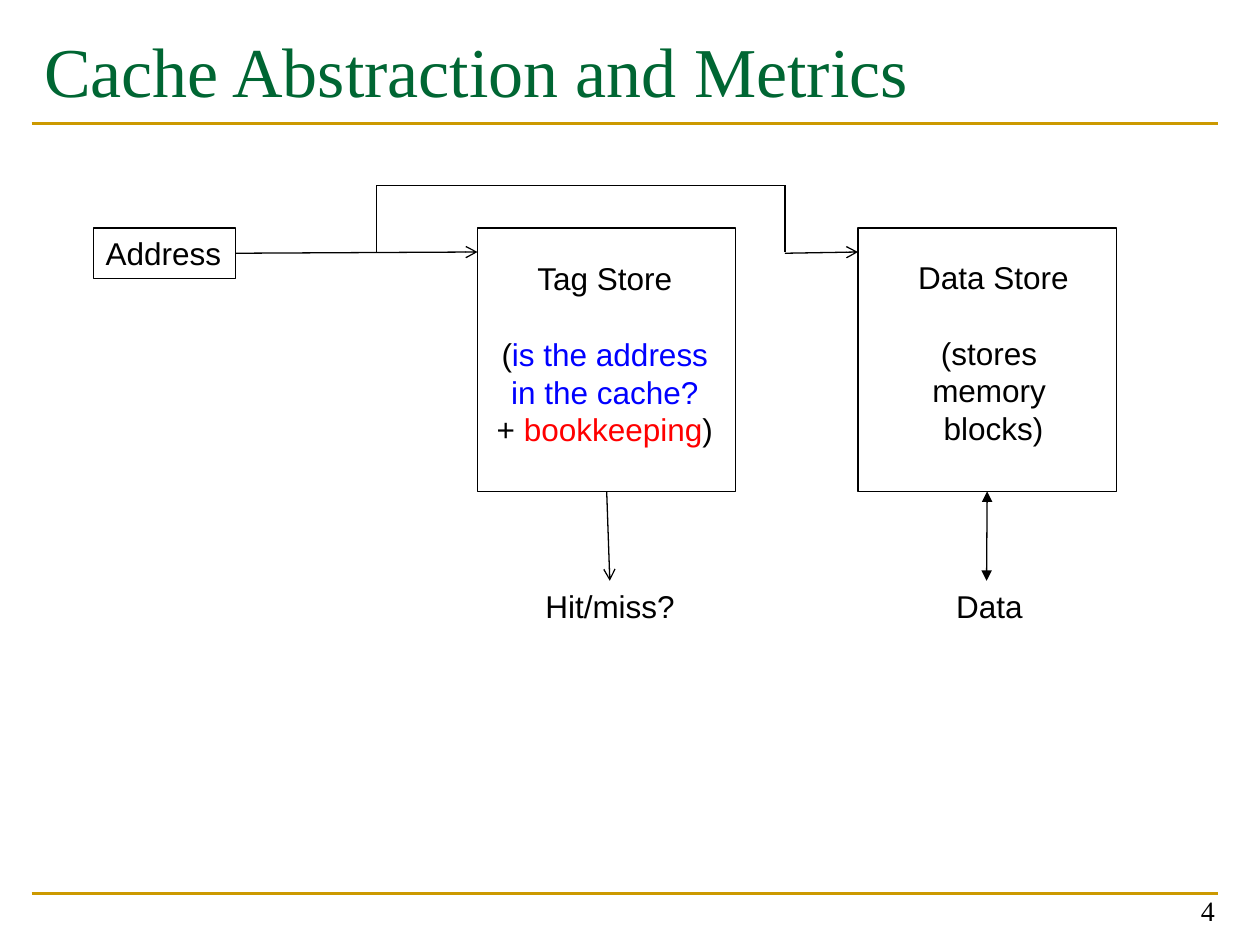
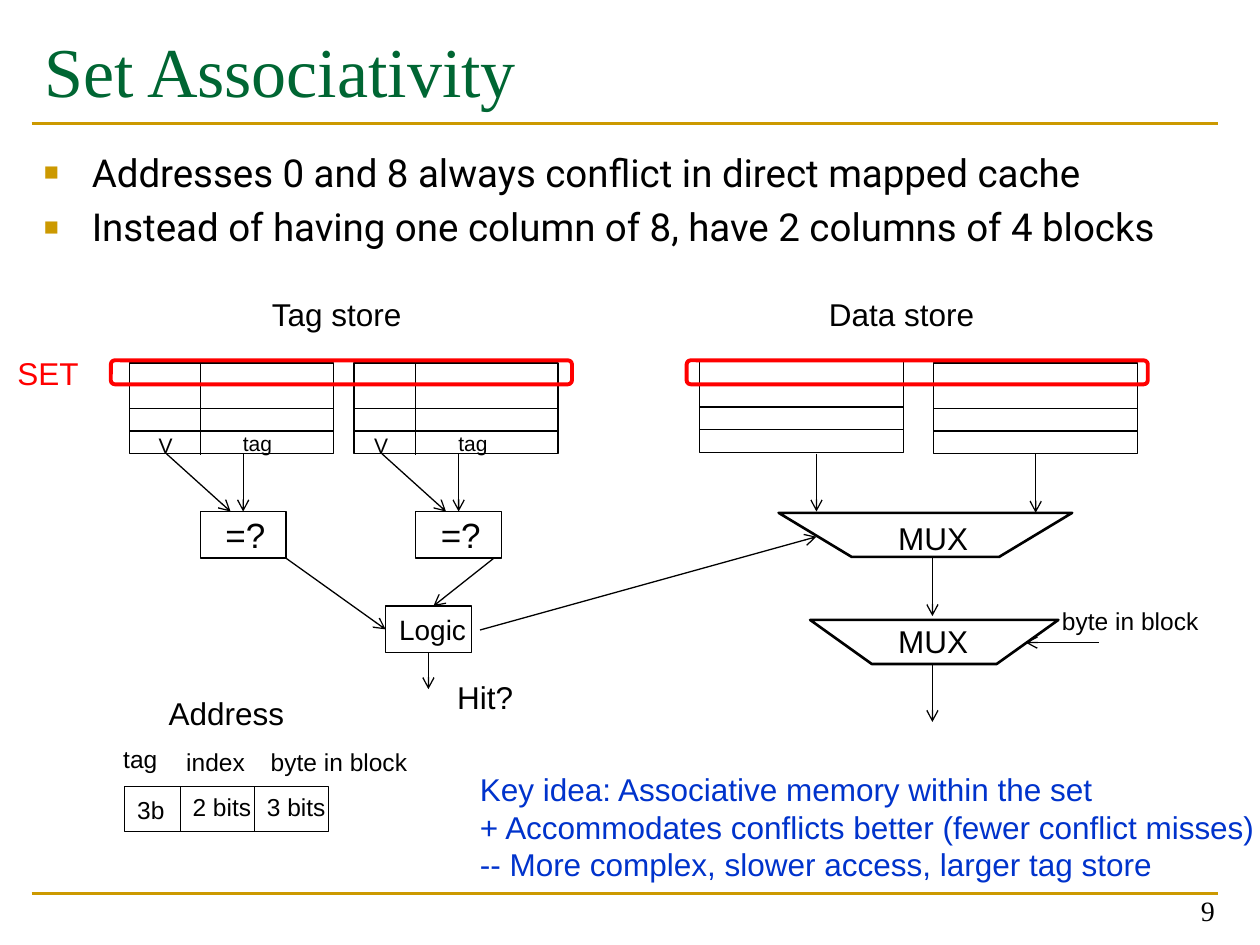
from dataclasses import dataclass
from typing import Any, Optional

from lxml.etree import SubElement
from pptx import Presentation
from pptx.dml.color import RGBColor
from pptx.enum.shapes import MSO_CONNECTOR as Wire, MSO_SHAPE as Preset
from pptx.enum.text import MSO_ANCHOR as Anchor, MSO_AUTO_SIZE as AutoSize, PP_ALIGN as Align
from pptx.oxml.ns import qn
from pptx.util import Pt

EMU_PER_PX = 9144
TOP, LEFT, BOTTOM, RIGHT = range(4)


@dataclass(frozen=True)
class Theme:
    """Colours, fonts and type sizes of the deck."""
    ink: str = "000000"
    title: str = "006633"
    gold: str = "CC9900"
    blue: str = "0000FF"
    red: str = "FF0000"
    key: str = "0033CC"
    serif: str = "Times New Roman"
    sans: str = "Arial"
    bullet_font: str = "Roboto"
    title_size: int = 40
    bullet_size: int = 22
    compare_size: int = 20
    label_size: int = 18
    small_size: int = 16
    field_size: int = 14
    cell_size: int = 12
    thin: float = 0.75
    medium: float = 1.5
    thick: float = 2.25


THEME = Theme()


@dataclass(frozen=True)
class Box:
    """A rectangle in px."""
    left: int
    top: int
    width: int
    height: int

    def emu(self) -> tuple[int, ...]:
        """Return the four lengths in EMU."""
        return tuple(px(n) for n in (self.left, self.top, self.width, self.height))


@dataclass(frozen=True)
class Span:
    """A piece of text in one colour."""
    text: str
    color: str = THEME.ink


@dataclass(frozen=True)
class Label:
    """A text box whose height follows from its type size and lines."""
    left: int
    top: int
    width: int
    lines: tuple[tuple[Span, ...], ...]
    size: int = THEME.label_size
    align: Align = Align.LEFT
    wrap: bool = False
    gap_after_first: float = 0


@dataclass(frozen=True)
class Arrow:
    """A straight line with optional heads and joined ends."""
    x1: int
    y1: int
    x2: int
    y2: int
    head: str = ""
    tail: str = "arrow"
    begin: Optional[tuple[Any, int]] = None
    end: Optional[tuple[Any, int]] = None
    color: str = THEME.ink
    width: float = THEME.thin


def px(length: int) -> int:
    """Turn px into EMU."""
    return length * EMU_PER_PX


def apply(target: Any, formats: dict[str, Any]) -> None:
    """Set each format value on the target."""
    for name, value in formats.items():
        setattr(target, name, value)


def style_font(font: Any, name: str, size: int, color: str) -> None:
    """Set the face, size and colour of a font."""
    apply(font, {"name": name, "size": Pt(size)})
    font.color.rgb = RGBColor.from_string(color)


def style_outline(shape: Any, color: str, width: float) -> None:
    """Leave a shape unfilled with a plain outline."""
    shape.shadow.inherit = False
    shape.fill.background()
    shape.line.color.rgb = RGBColor.from_string(color)
    shape.line.width = Pt(width)


def draw_rect(page: Any, box: Box, preset: Preset = Preset.RECTANGLE,
              color: str = THEME.ink, width: float = THEME.thin) -> Any:
    """Draw an outlined preset shape."""
    shape = page.shapes.add_shape(preset, *box.emu())
    style_outline(shape, color, width)
    return shape


def draw_arrow(page: Any, arrow: Arrow) -> None:
    """Draw a straight connector."""
    ends = (px(n) for n in (arrow.x1, arrow.y1, arrow.x2, arrow.y2))
    line = page.shapes.add_connector(Wire.STRAIGHT, *ends)
    line.line.color.rgb = RGBColor.from_string(arrow.color)
    line.line.width = Pt(arrow.width)
    for tag, kind in (("a:headEnd", arrow.head), ("a:tailEnd", arrow.tail)):
        if kind:
            SubElement(line.line._get_or_add_ln(), qn(tag), type=kind)
    SubElement(line._element.spPr, qn("a:effectLst"))
    if arrow.begin:
        line.begin_connect(*arrow.begin)
    if arrow.end:
        line.end_connect(*arrow.end)


def draw_line(page: Any, x1: int, y1: int, x2: int, y2: int) -> None:
    """Draw a thin line without heads."""
    draw_arrow(page, Arrow(x1, y1, x2, y2, tail=""))


def draw_label(page: Any, label: Label) -> None:
    """Draw a text box of coloured spans."""
    height = round(10 + 1.68 * label.size * len(label.lines))
    box = page.shapes.add_textbox(*Box(label.left, label.top, label.width, height).emu())
    frame = box.text_frame
    apply(frame, {"word_wrap": label.wrap, "auto_size": AutoSize.SHAPE_TO_FIT_TEXT})
    for index, line in enumerate(label.lines):
        para = frame.add_paragraph() if index else frame.paragraphs[0]
        para.alignment = label.align
        if index == 1 and label.gap_after_first:
            para.space_before = Pt(label.gap_after_first)
        for span in line:
            run = para.add_run()
            run.text = span.text
            style_font(run.font, THEME.sans, label.size, span.color)


def draw_word(page: Any, left: int, top: int, width: int, text: str,
              size: int = THEME.label_size, color: str = THEME.ink) -> None:
    """Draw a one-line label."""
    draw_label(page, Label(left, top, width, ((Span(text, color),),), size))


def add_page(deck: Any, title: str, number: int) -> Any:
    """Add a page with its title, rules and number."""
    page = deck.slides.add_slide(deck.slide_layouts[5])
    for y in (709, 98):
        draw_arrow(page, Arrow(25, y, 967, y, tail="", color=THEME.gold, width=THEME.medium))
    heading = page.shapes.title
    apply(heading, dict(zip(("left", "top", "width", "height"), Box(25, 17, 942, 117).emu())))
    corner = page.shapes.add_textbox(*Box(741, 691, 233, 50).emu())
    for shape, text, anchor, align, size, color in (
            (heading, title, Anchor.TOP, Align.LEFT, THEME.title_size, THEME.title),
            (corner, str(number), Anchor.BOTTOM, Align.RIGHT, THEME.small_size, THEME.ink)):
        frame = shape.text_frame
        frame.text = text
        apply(frame, {"word_wrap": True, "vertical_anchor": anchor, "auto_size": AutoSize.NONE})
        frame.paragraphs[0].alignment = align
        style_font(frame.paragraphs[0].font, THEME.serif, size, color)
    return page


def draw_bullets(page: Any, box: Box, texts: tuple[str, ...]) -> None:
    """Draw a list with square gold bullets."""
    frame = page.shapes.add_textbox(*box.emu()).text_frame
    frame.word_wrap = True
    for index, text in enumerate(texts):
        para = frame.add_paragraph() if index else frame.paragraphs[0]
        para.text = text
        props = para._p.get_or_add_pPr()
        props.set("marL", str(px(38)))
        props.set("indent", str(px(-38)))
        SubElement(SubElement(props, qn("a:buClr")), qn("a:srgbClr"), val=THEME.gold)
        SubElement(props, qn("a:buSzPct"), val="65000")
        SubElement(props, qn("a:buFont"), typeface=THEME.sans)
        SubElement(props, qn("a:buChar"), char="■")
        if index:
            para.space_before = Pt(5)
        style_font(para.font, THEME.bullet_font, THEME.bullet_size, THEME.ink)


def draw_bank(page: Any, left: int, top: int) -> Any:
    """Draw four stacked blocks and return the lowest."""
    return [draw_rect(page, Box(left, top + 18 * row, 162, 18)) for row in range(4)][-1]


def draw_way(page: Any, left: int) -> None:
    """Draw the valid bit, tag and comparator of one way."""
    draw_word(page, left - 43, 338, 31, "V", THEME.cell_size)
    draw_word(page, left + 24, 337, 44, "tag", THEME.cell_size)
    comparator = draw_rect(page, Box(left, 406, 68, 37))
    draw_word(page, left + 10, 403, 52, "=?", THEME.compare_size)
    draw_arrow(page, Arrow(left + 34, 360, left + 34, 406, end=(comparator, TOP)))
    draw_arrow(page, Arrow(left - 27, 360, left + 24, 406))
    draw_line(page, left, 287, left, 361)


def draw_mux(page: Any, box: Box, inset: int, label_top: int) -> None:
    """Draw a multiplexer as a trapezoid that narrows downwards."""
    right, bottom = box.left + box.width, box.top + box.height
    builder = page.shapes.build_freeform(right, box.top, EMU_PER_PX)
    builder.add_line_segments(
        [(right - inset, bottom), (box.left + inset, bottom), (box.left, box.top)], close=True)
    style_outline(builder.convert_to_shape(), THEME.ink, THEME.medium)
    draw_word(page, 703, label_top, 76, "MUX")


def build_abstraction(deck: Any) -> None:
    """Build the page on the cache abstraction."""
    page = add_page(deck, "Cache Abstraction and Metrics", 4)
    address = draw_rect(page, Box(74, 181, 113, 40))
    tag_store, data_store = (draw_rect(page, Box(x, 181, 205, 209)) for x in (379, 681))
    draw_word(page, 74, 181, 113, "Address")
    draw_label(page, Label(376, 201, 208, (
        (Span("Tag Store"),),
        (Span("("), Span("is the address", THEME.blue)),
        (Span("in the cache?", THEME.blue),),
        (Span("+ "), Span("bookkeeping", THEME.red), Span(")")),
    ), align=Align.CENTER, wrap=True, gap_after_first=21.5))
    store_lines = ("Data Store", "(stores ", "memory ", "blocks)")
    draw_label(page, Label(718, 200, 141, tuple((Span(text),) for text in store_lines),
                           align=Align.CENTER, gap_after_first=21.5))
    draw_arrow(page, Arrow(187, 201, 379, 200, begin=(address, RIGHT)))
    detour = ((299, 200), (299, 147), (623, 147), (623, 200))
    for start, stop in zip(detour, detour[1:]):
        draw_line(page, *start, *stop)
    draw_arrow(page, Arrow(623, 201, 681, 200))
    draw_arrow(page, Arrow(482, 390, 484, 461, begin=(tag_store, BOTTOM)))
    draw_arrow(page, Arrow(784, 390, 783, 461, "triangle", "triangle", (data_store, BOTTOM)))
    draw_word(page, 423, 461, 124, "Hit/miss?")
    draw_word(page, 749, 461, 74, "Data")


def build_associativity(deck: Any) -> None:
    """Build the page on two-way set associativity."""
    page = add_page(deck, "Set Associativity", 9)
    draw_bullets(page, Box(25, 113, 942, 564), (
        "Addresses 0 and 8 always conflict in direct mapped cache",
        "Instead of having one column of 8, have 2 columns of 4 blocks"))
    banks = [draw_bank(page, *corner) for corner in ((103, 288), (281, 288), (555, 287), (741, 288))]
    for left in (159, 330):
        draw_way(page, left)
    for left in (88, 545):
        ring = draw_rect(page, Box(left, 286, 366, 19), Preset.ROUNDED_RECTANGLE,
                         THEME.red, THEME.thick)
        ring.adjustments[0] = 0.167
    logic = draw_rect(page, Box(306, 481, 68, 37))
    draw_mux(page, Box(618, 407, 233, 35), 58, 407)
    draw_mux(page, Box(643, 492, 197, 35), 49, 489)
    for arrow in (
            Arrow(822, 360, 822, 407, begin=(banks[3], BOTTOM)),
            Arrow(648, 360, 648, 406),
            Arrow(227, 443, 306, 500, end=(logic, LEFT)),
            Arrow(392, 443, 344, 481),
            Arrow(340, 518, 340, 547, begin=(logic, BOTTOM)),
            Arrow(381, 500, 648, 426),
            Arrow(740, 443, 740, 489),
            Arrow(872, 510, 814, 510),
            Arrow(740, 527, 740, 573)):
        draw_arrow(page, arrow)
    draw_rect(page, Box(99, 624, 162, 36))
    for x in (143, 202):
        draw_line(page, x, 624, x, 660)
    for left, top, width, text in (
            (206, 229, 124, "Tag store"), (648, 229, 136, "Data store"),
            (124, 546, 113, "Address"), (353, 533, 65, "Hit?")):
        draw_word(page, left, top, width, text)
    for left, top, width, text in (
            (88, 586, 47, "tag"), (138, 588, 67, "index"), (205, 588, 129, "byte in block"),
            (99, 626, 42, "3b"), (143, 624, 67, "2 bits"), (202, 624, 67, "3 bits"),
            (833, 476, 129, "byte in block")):
        draw_word(page, left, top, width, text, THEME.field_size)
    draw_word(page, 307, 481, 74, "Logic", THEME.small_size)
    draw_word(page, 4, 276, 69, "SET", color=THEME.red)
    ideas = ("Key idea: Associative memory within the set",
             "+ Accommodates conflicts better (fewer conflict misses)",
             "-- More complex, slower access, larger tag store")
    draw_label(page, Label(371, 606, 641, tuple((Span(text, THEME.key),) for text in ideas)))


def main() -> None:
    """Build and save the deck."""
    deck = Presentation()
    apply(deck, {"slide_width": px(1000), "slide_height": px(750)})
    build_abstraction(deck)
    build_associativity(deck)
    deck.save("out.pptx")


if __name__ == "__main__":
    main()
